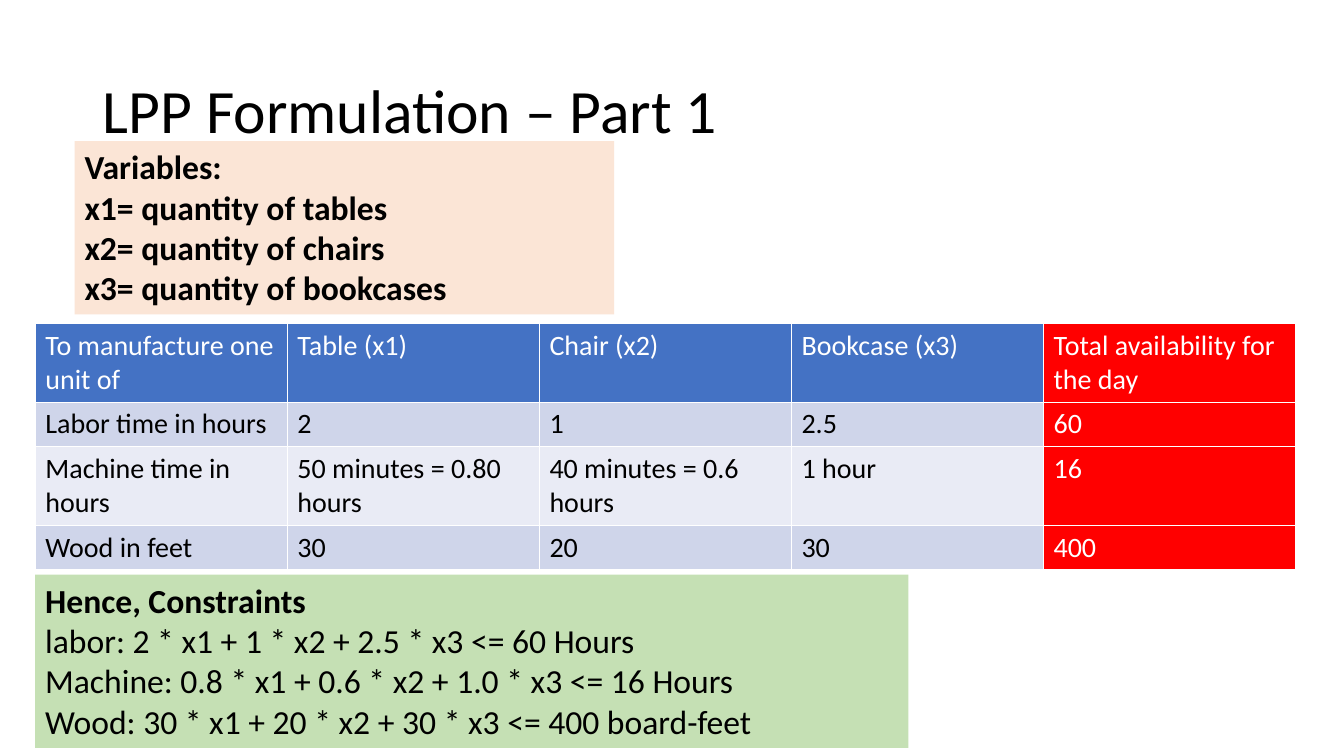
"""Build a slide that formulates a linear programming problem."""
from pptx import Presentation
from pptx import util as u
from pptx.dml.color import RGBColor
from pptx.enum import shapes, text

COLORS = {
    "black": "000000", "white": "FFFFFF", "header": "4472C4", "total": "FF0000",
    "odd_row": "CFD5EA", "even_row": "E9EBF5", "variables": "FBE5D6",
    "constraints": "C5E0B4",
}
TITLE = "LPP Formulation – Part 1"
VARIABLES = [
    "Variables:",
    "x1= quantity of tables",
    "x2= quantity of chairs",
    "x3= quantity of bookcases",
]
RESOURCES = [
    ["To manufacture one unit of", "Table (x1)", "Chair (x2)", "Bookcase (x3)",
     "Total availability for the day"],
    ["Labor time in hours", "2", "1", "2.5", "60"],
    ["Machine time in hours", "50 minutes = 0.80 hours", "40 minutes = 0.6 hours",
     "1 hour", "16"],
    ["Wood in feet", "30", "20", "30", "400"],
]
CONSTRAINTS = [
    "Hence, Constraints",
    "labor: 2 * x1 + 1 * x2 + 2.5 * x3 <= 60 Hours",
    "Machine: 0.8 * x1 + 0.6 * x2 + 1.0 * x3 <= 16 Hours",
    "Wood: 30 * x1 + 20 * x2 + 30 * x3 <= 400 board-feet",
]


def rgb(name):
    """Return the named colour."""
    return RGBColor.from_string(COLORS[name])


def inches(*values):
    """Convert several numbers to lengths."""
    return [u.Inches(value) for value in values]


def apply(target, formats):
    """Set each format value as an attribute of the target."""
    for name, value in formats.items():
        setattr(target, name, value)


def add_span(para, words, size, color="black", bold=False):
    """Add one formatted run to a paragraph."""
    span = para.add_run()
    span.text = words
    apply(span.font, {"name": "Calibri", "size": u.Pt(size), "bold": bold})
    span.font.color.rgb = rgb(color)


def set_title(page, words):
    """Place and format the title placeholder."""
    title = page.shapes.title
    left, top, width, height = inches(0.92, 0.4, 11.5, 1.45)
    apply(title, {"left": left, "top": top, "width": width, "height": height})
    apply(title.text_frame, {"vertical_anchor": text.MSO_ANCHOR.MIDDLE,
                             "auto_size": text.MSO_AUTO_SIZE.NONE})
    para = title.text_frame.paragraphs[0]
    apply(para, {"alignment": text.PP_ALIGN.LEFT, "line_spacing": 0.9})
    add_span(para, words, 44)


def add_panel(page, place, fill, lines, bold_lines):
    """Add a filled box of lines, the first few of them bold."""
    box = page.shapes.add_shape(shapes.MSO_SHAPE.RECTANGLE, *inches(*place))
    box.shadow.inherit = False
    box.fill.solid()
    box.fill.fore_color.rgb = rgb(fill)
    box.line.fill.background()
    frame = box.text_frame
    apply(frame, {"word_wrap": True, "vertical_anchor": text.MSO_ANCHOR.TOP,
                  "auto_size": text.MSO_AUTO_SIZE.SHAPE_TO_FIT_TEXT})
    for index, line in enumerate(lines):
        para = frame.add_paragraph() if index else frame.paragraphs[0]
        para.alignment = text.PP_ALIGN.LEFT
        add_span(para, line, 24, bold=index < bold_lines)


def cell_colors(row, column, last_column):
    """Return the fill and text colours for a table position."""
    if column == last_column:
        return "total", "white"
    if row == 0:
        return "header", "white"
    return ("odd_row" if row % 2 else "even_row"), "black"


def add_resource_table(page, place, rows, row_height):
    """Add the table of resources used by each product."""
    columns = len(rows[0])
    table = page.shapes.add_table(len(rows), columns, *inches(*place)).table
    for row, values in enumerate(rows):
        table.rows[row].height = u.Inches(row_height)
        for column, value in enumerate(values):
            fill, color = cell_colors(row, column, columns - 1)
            cell = table.cell(row, column)
            cell.fill.solid()
            cell.fill.fore_color.rgb = rgb(fill)
            add_span(cell.text_frame.paragraphs[0], value, 20, color)


def main():
    """Build and save the deck."""
    deck = Presentation()
    apply(deck, {"slide_width": u.Inches(13.33), "slide_height": u.Inches(7.5)})
    page = deck.slides.add_slide(deck.slide_layouts.get_by_name("Title Only"))
    set_title(page, TITLE)
    add_resource_table(page, (0.35, 3.21, 12.5, 2.4), RESOURCES, 0.41)
    add_panel(page, (0.74, 1.4, 5.35, 1.72), "variables", VARIABLES, len(VARIABLES))
    add_panel(page, (0.35, 5.7, 8.66, 1.72), "constraints", CONSTRAINTS, 1)
    deck.save("out.pptx")


if __name__ == "__main__":
    main()
